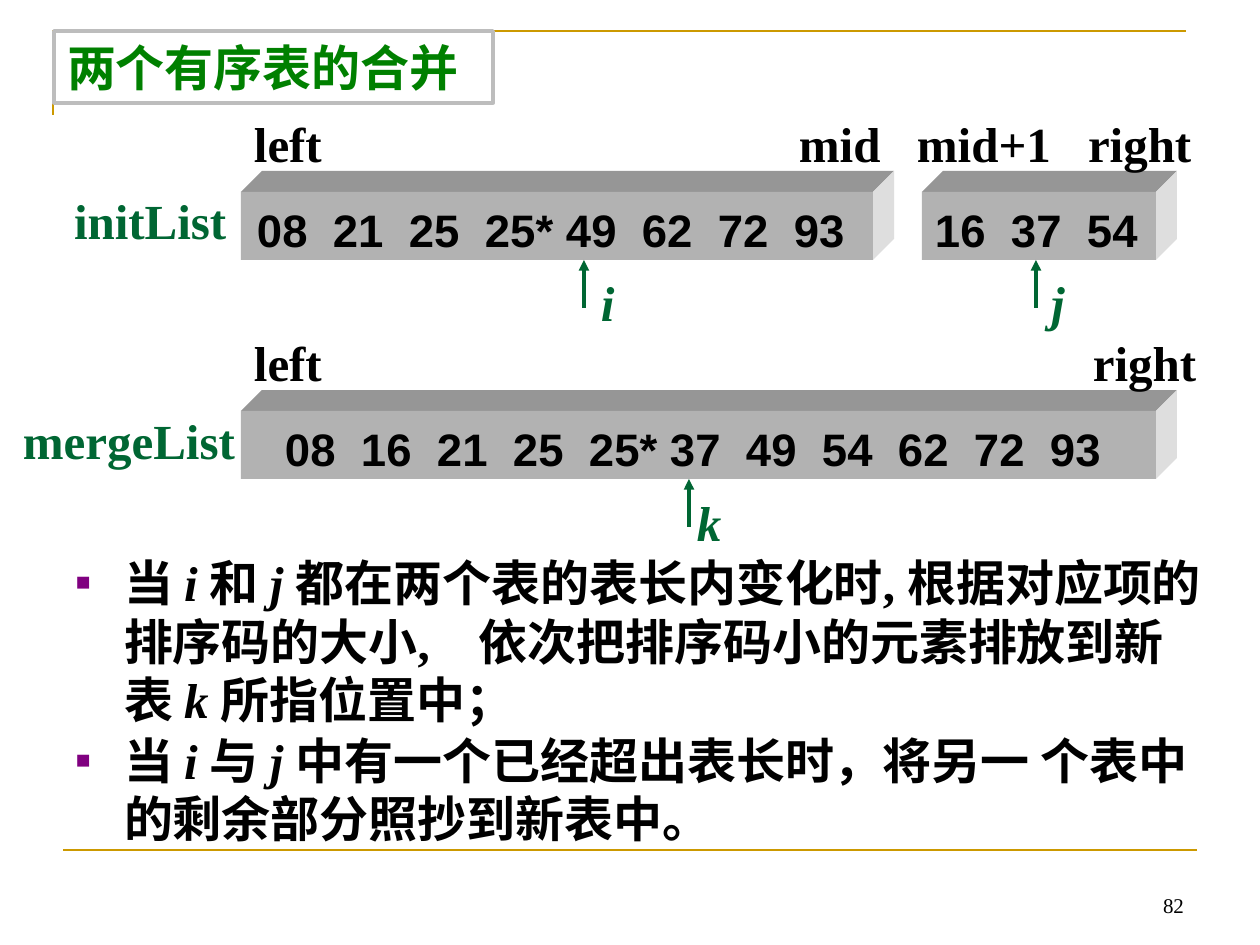
from typing import NamedTuple

from lxml.etree import SubElement
from pptx import Presentation
from pptx.dml.color import RGBColor
from pptx.enum.shapes import MSO_CONNECTOR, MSO_SHAPE
from pptx.enum.text import MSO_ANCHOR, MSO_AUTO_SIZE, PP_ALIGN
from pptx.oxml.ns import qn
from pptx.util import Emu, Pt

PX = 914400 / 126
DEPTH = 21
FRONT_HEIGHT = 68
ARROW_LENGTH = 48
VALUE_PITCH = 76
STARRED_PITCH = 81
BULLET_INDENT = 48

SERIF, SANS, CHINESE = "Times New Roman", "Arial", "Noto Sans CJK SC"
BLACK = RGBColor(0x00, 0x00, 0x00)
WHITE = RGBColor(0xFF, 0xFF, 0xFF)
GOLD = RGBColor(0xCC, 0x99, 0x00)
DARK_GREEN = RGBColor(0x00, 0x66, 0x33)
TITLE_GREEN = RGBColor(0x00, 0x80, 0x00)
BORDER_GREY = RGBColor(0xBD, 0xBD, 0xBD)
FRONT_GREY = RGBColor(0xB2, 0xB2, 0xB2)
TOP_GREY = RGBColor(0x96, 0x96, 0x96)
SIDE_GREY = RGBColor(0xDE, 0xDE, 0xDE)


class Label(NamedTuple):
    text: str
    left: int
    middle: int
    width: int
    color: RGBColor = BLACK
    italic: bool = False


class Bar(NamedTuple):
    values: str
    left: int
    top: int
    width: int
    text_left: int


class Pointer(NamedTuple):
    x: int
    tip: int


LABELS = [
    Label("left", 254, 143, 75),
    Label("mid", 799, 143, 90),
    Label("mid+1", 917, 143, 140),
    Label("right", 1088, 143, 110),
    Label("initList", 74, 220, 160, DARK_GREEN),
    Label("i", 601, 302, 30, DARK_GREEN, True),
    Label("j", 1051, 302, 30, DARK_GREEN, True),
    Label("left", 254, 362, 75),
    Label("right", 1093, 362, 110),
    Label("mergeList", 23, 440, 215, DARK_GREEN),
    Label("k", 697, 522, 35, DARK_GREEN, True),
]
BARS = [
    Bar("08 21 25 25* 49 62 72 93", 241, 192, 632, 257),
    Bar("16 37 54", 922, 192, 234, 935),
    Bar("08 16 21 25 25* 37 49 54 62 72 93", 241, 411, 915, 285),
]
POINTERS = [Pointer(584, 260), Pointer(1036, 260), Pointer(689, 479)]
# Every second part is a variable, set in italics.
BULLETS = [
    ["当 ", "i ", "和 ", "j ",
     "都在两个表的表长内变化时, 根据对应项的排序码的大小,　依次把排序码小的元素排放到新表 ",
     "k ", "所指位置中；"],
    ["当 ", "i ", "与 ", "j ",
     "中有一个已经超出表长时，将另一 个表中的剩余部分照抄到新表中。"],
]


def px(length: float) -> Emu:
    return Emu(round(length * PX))


def place(shape, left: int, top: int, width: int, height: int) -> None:
    shape.left, shape.top = px(left), px(top)
    shape.width, shape.height = px(width), px(height)


def style_run(run, size: int, color: RGBColor, font_name: str = SERIF,
              bold: bool = True, italic: bool = False) -> None:
    font = run.font
    font.size, font.name, font.bold, font.italic = Pt(size), font_name, bold, italic
    font.color.rgb = color
    SubElement(run._r.get_or_add_rPr(), qn("a:ea")).set("typeface", CHINESE)


def set_margins(frame, horizontal: int = 0, vertical: int = 0) -> None:
    frame.margin_left = frame.margin_right = px(horizontal)
    frame.margin_top = frame.margin_bottom = px(vertical)


def add_text(slide, label: Label, size: int = 28, height: int = 58,
             align=PP_ALIGN.LEFT, bold: bool = True) -> None:
    box = slide.shapes.add_textbox(px(label.left), px(label.middle - height / 2),
                                   px(label.width), px(height))
    frame = box.text_frame
    set_margins(frame)
    frame.word_wrap = False
    frame.vertical_anchor = MSO_ANCHOR.MIDDLE
    frame.text = label.text
    paragraph = frame.paragraphs[0]
    paragraph.alignment = align
    style_run(paragraph.runs[0], size, label.color, bold=bold, italic=label.italic)


def add_polygon(slide, points: list[tuple[int, int]], color: RGBColor) -> None:
    builder = slide.shapes.build_freeform(*points[0], scale=PX)
    builder.add_line_segments(points[1:], close=True)
    shape = builder.convert_to_shape()
    shape.shadow.inherit = False
    shape.fill.solid()
    shape.fill.fore_color.rgb = color
    shape.line.fill.background()


def add_bar(slide, bar: Bar) -> None:
    """Draw a bar in relief, its values lined up on tab stops."""
    left, top = bar.left, bar.top
    right, bottom = left + bar.width, top + FRONT_HEIGHT
    back_top, back_right = top - DEPTH, right + DEPTH
    add_polygon(slide, [(left, top), (left + DEPTH, back_top),
                        (back_right, back_top), (right, top)], TOP_GREY)
    add_polygon(slide, [(right, top), (back_right, back_top),
                        (back_right, bottom - DEPTH), (right, bottom)], SIDE_GREY)
    front = slide.shapes.add_shape(MSO_SHAPE.RECTANGLE, px(left), px(top),
                                   px(bar.width), px(FRONT_HEIGHT))
    front.shadow.inherit = False
    front.fill.solid()
    front.fill.fore_color.rgb = FRONT_GREY
    front.line.fill.background()

    frame = front.text_frame
    set_margins(frame)
    frame.margin_left, frame.margin_top = px(bar.text_left - left), px(6)
    frame.vertical_anchor = MSO_ANCHOR.MIDDLE
    paragraph = frame.paragraphs[0]
    paragraph.alignment = PP_ALIGN.LEFT
    tabs = SubElement(paragraph._p.get_or_add_pPr(), qn("a:tabLst"))
    values = bar.values.split()
    position = 0
    for value in values[:-1]:
        position += STARRED_PITCH if value.endswith("*") else VALUE_PITCH
        tab = SubElement(tabs, qn("a:tab"))
        tab.set("pos", str(px(position)))
        tab.set("algn", "l")
    run = paragraph.add_run()
    run.text = "\t".join(values)
    style_run(run, 26, BLACK, SANS)


def add_line(slide, start: tuple[int, int], end: tuple[int, int],
             color: RGBColor, width: float):
    line = slide.shapes.add_connector(MSO_CONNECTOR.STRAIGHT, *map(px, start + end))
    line.line.color.rgb = color
    line.line.width = Pt(width)
    SubElement(line._element.spPr, qn("a:effectLst"))
    return line


def add_pointer(slide, pointer: Pointer) -> None:
    x, tip = pointer
    arrow = add_line(slide, (x, tip + ARROW_LENGTH), (x, tip), DARK_GREEN, 2)
    SubElement(arrow.line._get_or_add_ln(), qn("a:tailEnd")).set("type", "triangle")


def add_frame_lines(slide) -> None:
    builder = slide.shapes.build_freeform(53, 115, scale=PX)
    builder.add_line_segments([(53, 31), (1186, 31)], close=False)
    corner = builder.convert_to_shape()
    corner.shadow.inherit = False
    corner.fill.background()
    corner.line.color.rgb = GOLD
    corner.line.width = Pt(1.5)
    add_line(slide, (63, 850), (1197, 850), GOLD, 1.5)


def fill_title(title) -> None:
    place(title, 54, 31, 439, 72)
    title.fill.solid()
    title.fill.fore_color.rgb = WHITE
    title.line.color.rgb = BORDER_GREY
    title.line.width = Pt(2)
    frame = title.text_frame
    frame.text = "两个有序表的合并"
    set_margins(frame, 13)
    frame.auto_size = MSO_AUTO_SIZE.NONE
    frame.vertical_anchor = MSO_ANCHOR.MIDDLE
    frame.paragraphs[0].alignment = PP_ALIGN.LEFT
    style_run(frame.paragraphs[0].runs[0], 28, TITLE_GREEN, CHINESE)


def add_bullet(paragraph) -> None:
    properties = paragraph._p.get_or_add_pPr()
    properties.set("marL", str(px(BULLET_INDENT)))
    properties.set("indent", str(-px(BULLET_INDENT)))
    color = SubElement(properties, qn("a:buClr"))
    SubElement(color, qn("a:srgbClr")).set("val", "800080")
    SubElement(properties, qn("a:buSzPct")).set("val", "50000")
    SubElement(properties, qn("a:buFont")).set("typeface", SANS)
    SubElement(properties, qn("a:buChar")).set("char", "■")


def fill_body(body) -> None:
    place(body, 63, 547, 1153, 368)
    frame = body.text_frame
    set_margins(frame, 13, 6)
    frame.auto_size = MSO_AUTO_SIZE.NONE
    for index, parts in enumerate(BULLETS):
        paragraph = frame.add_paragraph() if index else frame.paragraphs[0]
        add_bullet(paragraph)
        paragraph.line_spacing = Pt(33.4)
        paragraph.space_before = Pt(1.4 if index else 0)
        for number, part in enumerate(parts):
            run = paragraph.add_run()
            run.text = part
            style_run(run, 28, BLACK, italic=number % 2 == 1)


def main() -> None:
    presentation = Presentation()
    presentation.slide_width, presentation.slide_height = px(1260), px(945)
    slide = presentation.slides.add_slide(presentation.slide_layouts[1])
    add_frame_lines(slide)
    for bar in BARS:
        add_bar(slide, bar)
    for pointer in POINTERS:
        add_pointer(slide, pointer)
    for label in LABELS:
        add_text(slide, label)
    add_text(slide, Label("82", 903, 905, 281), 12, 26, PP_ALIGN.RIGHT, bold=False)
    title = slide.shapes.title
    fill_title(title)
    slide.shapes._spTree.append(title._element)
    fill_body(slide.placeholders[1])
    presentation.save("out.pptx")


if __name__ == "__main__":
    main()
